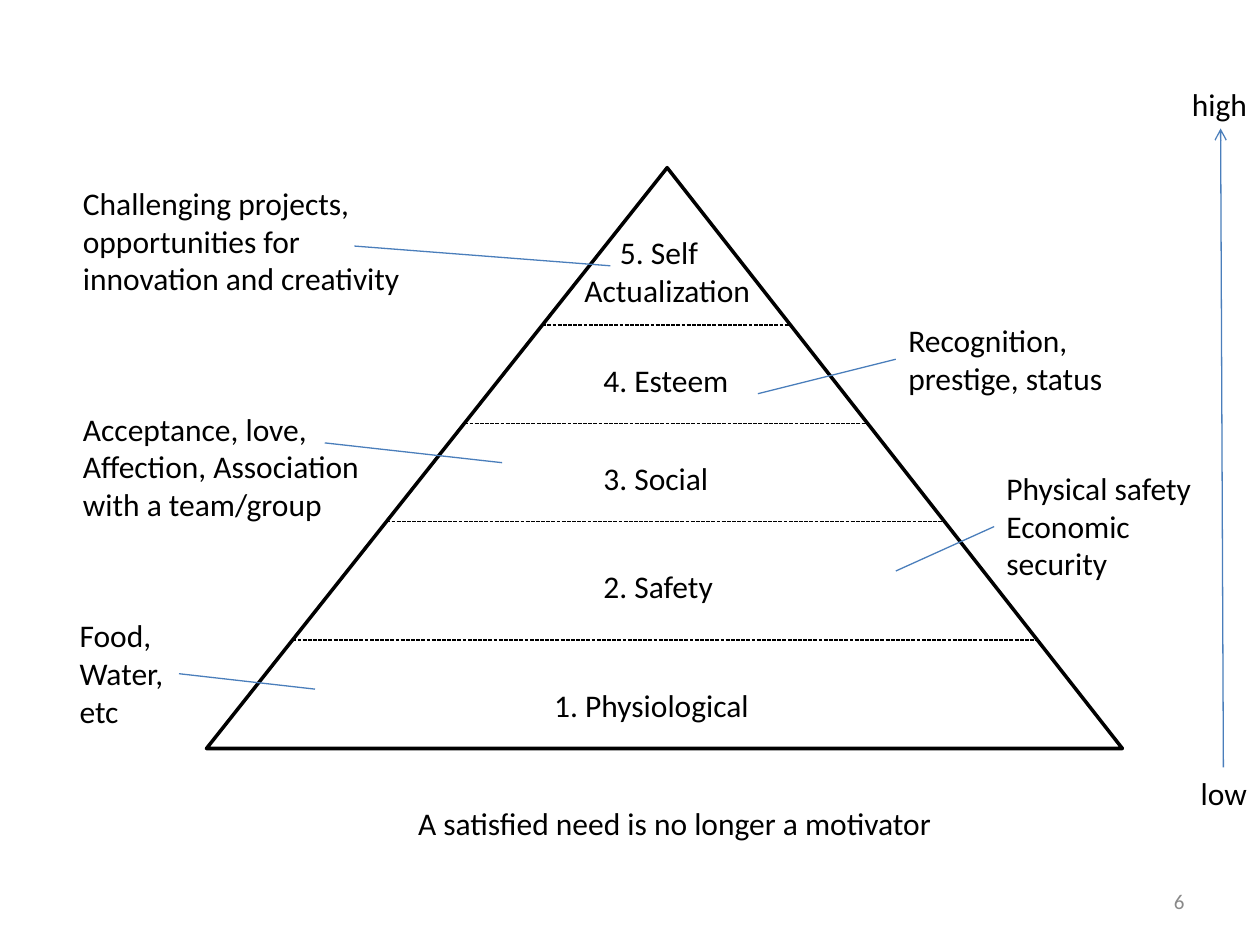
"""Build a slide with the pyramid of needs, its examples and a low-to-high scale."""
from dataclasses import dataclass

from lxml.etree import SubElement
from pptx import Presentation
from pptx.dml.color import RGBColor
from pptx.enum.dml import MSO_LINE
from pptx.enum.shapes import MSO_CONNECTOR, MSO_SHAPE
from pptx.enum.text import MSO_ANCHOR, MSO_AUTO_SIZE, PP_ALIGN
from pptx.oxml.ns import qn
from pptx.util import Pt


@dataclass(frozen=True)
class Theme:
    font: str = "Calibri"
    body_size: float = 18
    number_size: float = 12
    ink: RGBColor = RGBColor(0, 0, 0)
    accent: RGBColor = RGBColor(0x4A, 0x7E, 0xBB)
    muted: RGBColor = RGBColor(0x89, 0x89, 0x89)
    thin: float = 0.75
    thick: float = 2


THEME = Theme()

LEFT, TOP, WIDTH, HEIGHT = 118, 95.8, 523.4, 331.9
APEX_RATIO = 0.503
DIVIDER_TOPS = (365.8, 298.1, 241.9, 185.8)

LEVELS = (
    ("1. Physiological", 309.6, 388.2, 126),
    ("2. Safety", 337.7, 320.7, 78),
    ("3. Social", 337.7, 258.5, 75),
    ("4. Esteem", 337.7, 202.5, 86.4),
)
EXAMPLES = (
    ("Challenging projects,\nopportunities for\ninnovation and creativity", 40.3, 101.5, 196),
    ("Acceptance, love,\nAffection, Association\nwith a team/group", 40.3, 230.6, 176.4),
    ("Food,\nWater,\netc", 38.4, 348.7, 64.8),
    ("Recognition,\nprestige, status", 512, 180, 126),
    ("Physical safety\nEconomic\nsecurity", 568, 264.4, 121),
)
LEADERS = (
    ((202.5, 140.6), (348.8, 151.9)),
    ((185.6, 253.1), (286.9, 264.4)),
    ((511.9, 205.3), (433.1, 225)),
    ((102.3, 385), (180, 393.8)),
    ((568.1, 300.9), (511.9, 326.3)),
)
SCALE_ENDS = (("high", 674, 45.2, 46), ("low", 679, 438.5, 41))


def add_label(slide, text, left, top, width, size=THEME.body_size, color=THEME.ink):
    """Add a text box that fits its unwrapped lines and return its text frame."""
    line_count = text.count("\n") + 1
    box = slide.shapes.add_textbox(
        Pt(left), Pt(top), Pt(width), Pt(21.6 * line_count + 7.2)
    )
    text_frame = box.text_frame
    text_frame.word_wrap = False
    text_frame.auto_size = MSO_AUTO_SIZE.SHAPE_TO_FIT_TEXT
    text_frame.text = text
    for paragraph in text_frame.paragraphs:
        for run in paragraph.runs:
            run.font.name = THEME.font
            run.font.size = Pt(size)
            run.font.color.rgb = color
    return text_frame


def add_line(slide, start, end, color=THEME.accent, dashed=False, arrow=False):
    """Add a thin straight line, dashed or with an arrowhead on request."""
    connector = slide.shapes.add_connector(
        MSO_CONNECTOR.STRAIGHT, *(Pt(value) for value in (*start, *end))
    )
    connector.line.color.rgb = color
    connector.line.width = Pt(THEME.thin)
    if dashed:
        connector.line.dash_style = MSO_LINE.SQUARE_DOT
    if arrow:
        SubElement(connector.line._get_or_add_ln(), qn("a:tailEnd"), type="arrow")
    SubElement(connector._element.spPr, qn("a:effectLst"))


def add_pyramid(slide):
    """Add the triangle and dividers that run from edge to edge."""
    triangle = slide.shapes.add_shape(
        MSO_SHAPE.ISOSCELES_TRIANGLE, Pt(LEFT), Pt(TOP), Pt(WIDTH), Pt(HEIGHT)
    )
    triangle.adjustments[0] = APEX_RATIO
    triangle.shadow.inherit = False
    triangle.fill.background()
    triangle.line.color.rgb = THEME.ink
    triangle.line.width = Pt(THEME.thick)
    apex = LEFT + APEX_RATIO * WIDTH
    for top in DIVIDER_TOPS:
        depth = (top - TOP) / HEIGHT
        start = apex - depth * APEX_RATIO * WIDTH
        add_line(slide, (start, top), (start + depth * WIDTH, top), THEME.ink, dashed=True)


def add_top_level(slide):
    """Add the two-line label of the top level with its first line indented."""
    text_frame = add_label(slide, "5. Self\nActualization", 326.9, 129.6, 109.4)
    properties = text_frame.paragraphs[0]._p.get_or_add_pPr()
    properties.set("marL", "0")
    properties.set("indent", str(Pt(20.3)))


def add_slide_number(slide):
    """Add the grey slide number at the lower right."""
    text_frame = add_label(slide, "6", 516, 500.5, 168, THEME.number_size, THEME.muted)
    text_frame.word_wrap = True
    text_frame.auto_size = MSO_AUTO_SIZE.NONE
    text_frame.vertical_anchor = MSO_ANCHOR.MIDDLE
    text_frame.paragraphs[0].alignment = PP_ALIGN.RIGHT


def main():
    """Build and save the slide."""
    presentation = Presentation()
    presentation.slide_width, presentation.slide_height = Pt(720), Pt(540)
    slide = presentation.slides.add_slide(presentation.slide_layouts[6])
    add_slide_number(slide)
    add_pyramid(slide)
    add_top_level(slide)
    for label in LEVELS + SCALE_ENDS + EXAMPLES:
        add_label(slide, *label)
    add_line(slide, (699.1, 438.5), (697.5, 73.4), arrow=True)
    for start, end in LEADERS:
        add_line(slide, start, end)
    add_label(slide, "A satisfied need is no longer a motivator", 231.8, 455.8, 308.9)
    presentation.save("out.pptx")


if __name__ == "__main__":
    main()
